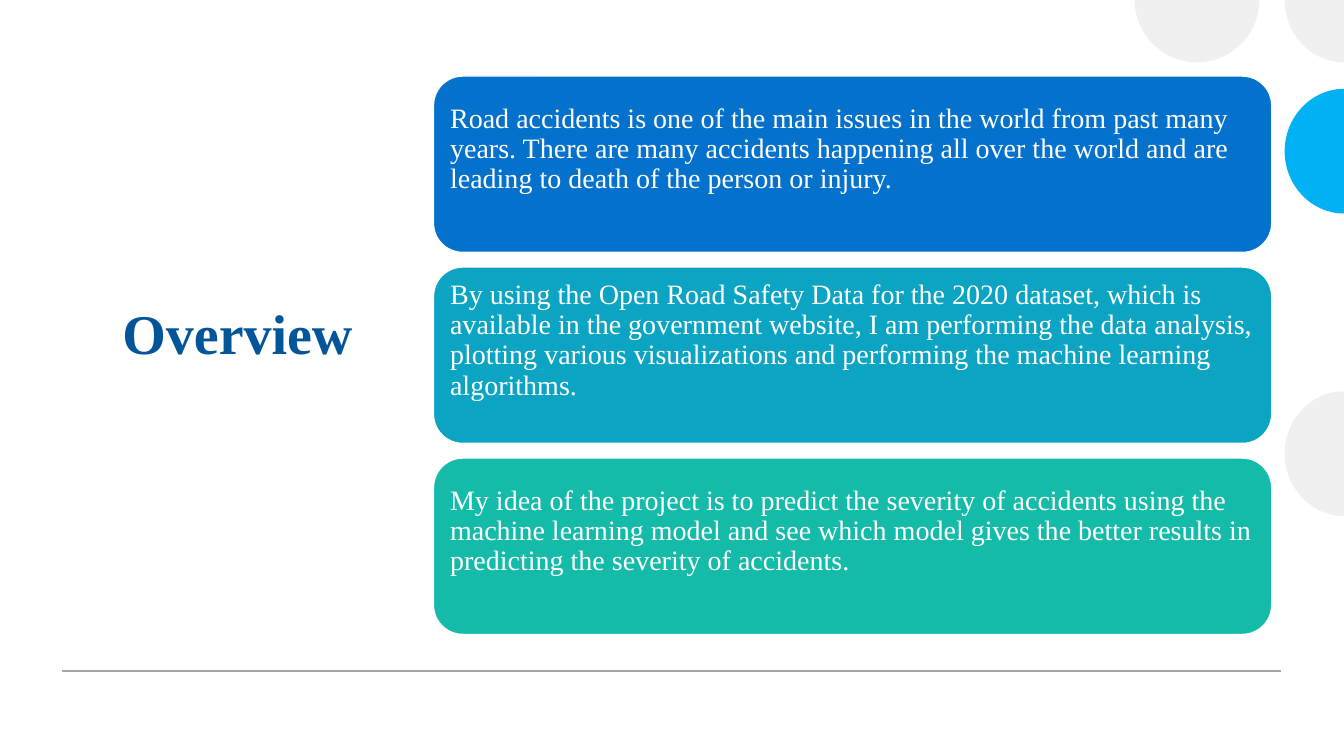
from lxml import etree
from pptx import Presentation
from pptx.dml.color import RGBColor
from pptx.enum.shapes import MSO_CONNECTOR, MSO_SHAPE
from pptx.enum.text import MSO_ANCHOR, PP_ALIGN
from pptx.oxml.ns import qn
from pptx.util import Inches, Pt

STRAIGHT = MSO_CONNECTOR.STRAIGHT
ROUNDED = MSO_SHAPE.ROUNDED_RECTANGLE
LEFT = PP_ALIGN.LEFT
BOTTOM, MIDDLE = MSO_ANCHOR.BOTTOM, MSO_ANCHOR.MIDDLE

COLUMNS, ROWS = 160, 90
FONT = "Times New Roman"
WHITE, GREY, SKY, NAVY, RULE = "FFFFFF", "EFF0EF", "00B2F3", "035599", "A6A6A6"

# Compass points of a dot, clockwise, and the pull of a quarter arc's handles
EAST, SOUTH = 0, 1
COMPASS = [(1, 0), (0, 1), (-1, 0), (0, -1)]
PULL = 0.55

CARDS = [
    ("0471CC", "Road accidents is one of the main issues in the world from past many "
               "years. There are many accidents happening all over the world and are "
               "leading to death of the person or injury."),
    ("0CA4C3", "By using the Open Road Safety Data for the 2020 dataset, which is "
               "available in the government website, I am performing the data analysis, "
               "plotting various visualizations and performing the machine learning "
               "algorithms."),
    ("14BBA9", "My idea of the project is to predict the severity of accidents using the "
               "machine learning model and see which model gives the better results in "
               "predicting the severity of accidents."),
]
# Centre column and row, reach in columns, first compass point, quarters, colour
DOTS = [
    (142.5, 0, 7.42, EAST, 2, GREY),
    (160, 54, 7.06, SOUTH, 2, GREY),
    (160, 18, 7.06, SOUTH, 2, SKY),
    (160, 0, 7.06, SOUTH, 1, GREY),
]


def colour(hex_string):
    return RGBColor.from_string(hex_string)


def write(frame, text, size=20, ink=WHITE, bold=False, anchor=MIDDLE,
          spacing=1.0, insets=(0.1, 0.05, 0.1, 0.05)):
    """Fill a text frame; insets are left, top, right, bottom in inches."""
    frame.word_wrap = True
    frame.vertical_anchor = anchor
    (frame.margin_left, frame.margin_top,
     frame.margin_right, frame.margin_bottom) = map(Inches, insets)
    paragraph = frame.paragraphs[0]
    paragraph.alignment = LEFT
    paragraph.line_spacing = spacing
    run = paragraph.add_run()
    run.text = text
    run.font.name, run.font.size, run.font.bold = FONT, Pt(size), bold
    run.font.color.rgb = colour(ink)


class GridSlide:
    def __init__(self, deck):
        self.shapes = deck.slides.add_slide(deck.slide_layouts[6]).shapes
        self.width, self.height = deck.slide_width, deck.slide_height

    def x(self, columns):
        return round(self.width * columns / COLUMNS)

    def y(self, rows):
        return round(self.height * rows / ROWS)

    def box(self, left, top, width, height):
        return self.x(left), self.y(top), self.x(width), self.y(height)

    def title(self, text, left, top, width, height):
        heading = self.shapes.add_textbox(*self.box(left, top, width, height))
        write(heading.text_frame, text, size=40, ink=NAVY, bold=True,
              anchor=BOTTOM, insets=(0.59, 0.05, 0.1, 0.72))

    def dot(self, column, row, reach, first, quarters, fill, radius=7.42):
        """Draw the quarters of a dot that lie inside the slide."""
        def place(across, down):
            return self.x(column + reach * across), self.y(row + radius * down)

        rim = [place(*COMPASS[first])]
        for quarter in range(first, first + quarters):
            (ax, ay), (bx, by) = COMPASS[quarter], COMPASS[quarter + 1]
            rim += [place(ax + PULL * bx, ay + PULL * by),
                    place(bx + PULL * ax, by + PULL * ay), place(bx, by)]
        outline = self.shapes.build_freeform(*place(0, 0))
        outline.add_line_segments(rim, close=True)
        disc = outline.convert_to_shape()
        self.bend(disc)
        disc.shadow.inherit = False
        disc.fill.solid()
        disc.fill.fore_color.rgb = colour(fill)
        disc.line.fill.background()

    def bend(self, disc):
        """Join each three segments after the first into one curve."""
        segments = list(disc._element.iter(qn("a:lnTo")))[1:]
        for start in range(0, len(segments), 3):
            curve = etree.Element(qn("a:cubicBezTo"))
            segments[start].addprevious(curve)
            for segment in segments[start:start + 3]:
                curve.append(segment[0])
                segment.getparent().remove(segment)

    def rule(self, start, end, row):
        line = self.shapes.add_connector(
            STRAIGHT, self.x(start), self.y(row), self.x(end), self.y(row))
        line.line.color.rgb = colour(RULE)
        line.line.width = Pt(1)
        etree.SubElement(line._element.spPr, qn("a:effectLst"))

    def card(self, text, fill, left, top, width, height):
        panel = self.shapes.add_shape(ROUNDED, *self.box(left, top, width, height))
        panel.shadow.inherit = False
        panel.fill.solid()
        panel.fill.fore_color.rgb = colour(fill)
        panel.line.color.rgb = colour(WHITE)
        panel.line.width = Pt(1)
        write(panel.text_frame, text, spacing=0.9, insets=(0.08, 0.08, 0.08, 0.37))


def main():
    deck = Presentation()
    deck.slide_width, deck.slide_height = Inches(13.33), Inches(7.5)
    overview = GridSlide(deck)

    # Heading
    overview.title("Overview", 7.5, 32.6, 44.1, 19.6)

    # Decorative dots and bottom rule
    for dot in DOTS:
        overview.dot(*dot)
    overview.rule(7.4, 152.5, 79.9)

    # Stacked cards
    for index, (fill, text) in enumerate(CARDS):
        overview.card(text, fill, 51.6, 9.05 + 22.74 * index, 99.8, 21)

    deck.save("out.pptx")


if __name__ == "__main__":
    main()
